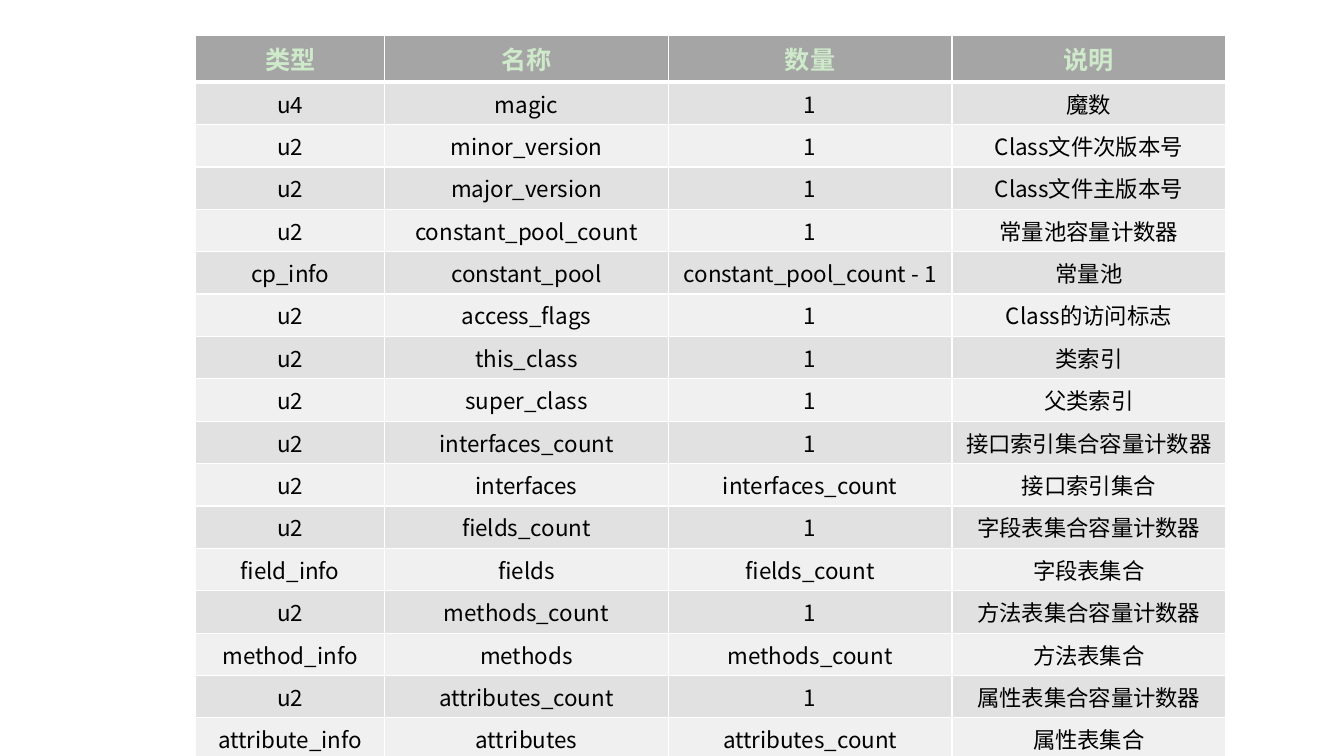
from lxml import etree
from pptx import Presentation
from pptx.dml.color import RGBColor
from pptx.enum.text import PP_ALIGN
from pptx.oxml.ns import qn
from pptx.util import Pt

CENTER = PP_ALIGN.CENTER
FONT = "Noto Sans CJK SC"
LINE = "FFFFFF"
HEADER = {"size": Pt(18), "bold": True, "name": FONT}
BODY = {"size": Pt(16), "bold": False, "name": FONT}


def paint(fmt, color):
    fmt.solid()
    fmt.fore_color.rgb = RGBColor.from_string(color)


def add_border(cell, side, width):
    ln = etree.SubElement(cell._tc.get_or_add_tcPr(), qn(f"a:ln{side}"), w=str(Pt(width)))
    fill = etree.SubElement(ln, qn("a:solidFill"))
    etree.SubElement(fill, qn("a:srgbClr"), val=LINE)


prs = Presentation()
prs.slide_width, prs.slide_height = Pt(960), Pt(540)
s = prs.slides.add_slide(prs.slide_layouts[6])
paint(s.background.fill, "FFFFFF")

# Class file structure: type, name, count, description
rows = [
    ("类型", "名称", "数量", "说明"),
    ("u4", "magic", "1", "魔数"),
    ("u2", "minor_version", "1", "Class文件次版本号"),
    ("u2", "major_version", "1", "Class文件主版本号"),
    ("u2", "constant_pool_count", "1", "常量池容量计数器"),
    ("cp_info", "constant_pool", "constant_pool_count - 1", "常量池"),
    ("u2", "access_flags", "1", "Class的访问标志"),
    ("u2", "this_class", "1", "类索引"),
    ("u2", "super_class", "1", "父类索引"),
    ("u2", "interfaces_count", "1", "接口索引集合容量计数器"),
    ("u2", "interfaces", "interfaces_count", "接口索引集合"),
    ("u2", "fields_count", "1", "字段表集合容量计数器"),
    ("field_info", "fields", "fields_count", "字段表集合"),
    ("u2", "methods_count", "1", "方法表集合容量计数器"),
    ("method_info", "methods", "methods_count", "方法表集合"),
    ("u2", "attributes_count", "1", "属性表集合容量计数器"),
    ("attribute_info", "attributes", "attributes_count", "属性表集合"),
]
widths = [135, 202.6, 202.6, 195.6]
row_height = 26.8

# Table frame
table = s.shapes.add_table(len(rows), len(widths), Pt(139.8), Pt(25.4),
                           Pt(sum(widths)), Pt(row_height * len(rows))).table
table.horz_banding = False
for column, width in zip(table.columns, widths):
    column.width = Pt(width)

# Cells
for i, row in enumerate(rows):
    table.rows[i].height = Pt(row_height)
    if i == 0:
        fill, color, style = "A5A5A5", "CEEACA", HEADER
    else:
        fill, color, style = ("E1E1E1" if i % 2 else "F0F0F0"), "000000", BODY
    for j, text in enumerate(row):
        cell = table.cell(i, j)
        for side in "LRTB":
            under_header = (i, side) in ((0, "B"), (1, "T"))
            add_border(cell, side, 3 if under_header else 1)
        paint(cell.fill, fill)
        p = cell.text_frame.paragraphs[0]
        p.alignment = CENTER
        r = p.add_run()
        r.text = text
        for key, value in style.items():
            setattr(r.font, key, value)
        paint(r.font.fill, color)
        etree.SubElement(r._r.get_or_add_rPr(), qn("a:ea"), typeface=FONT)

prs.save("out.pptx")
